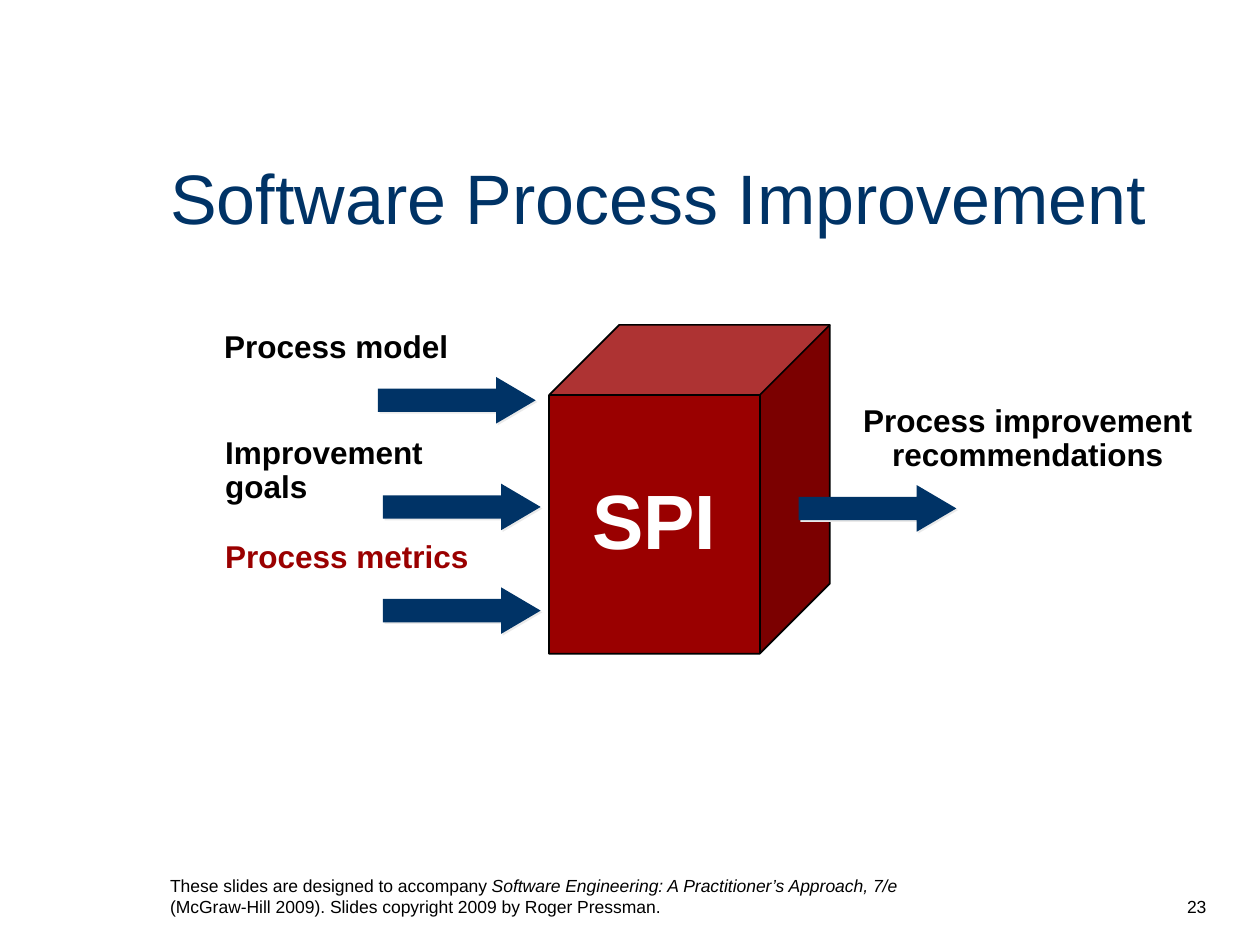
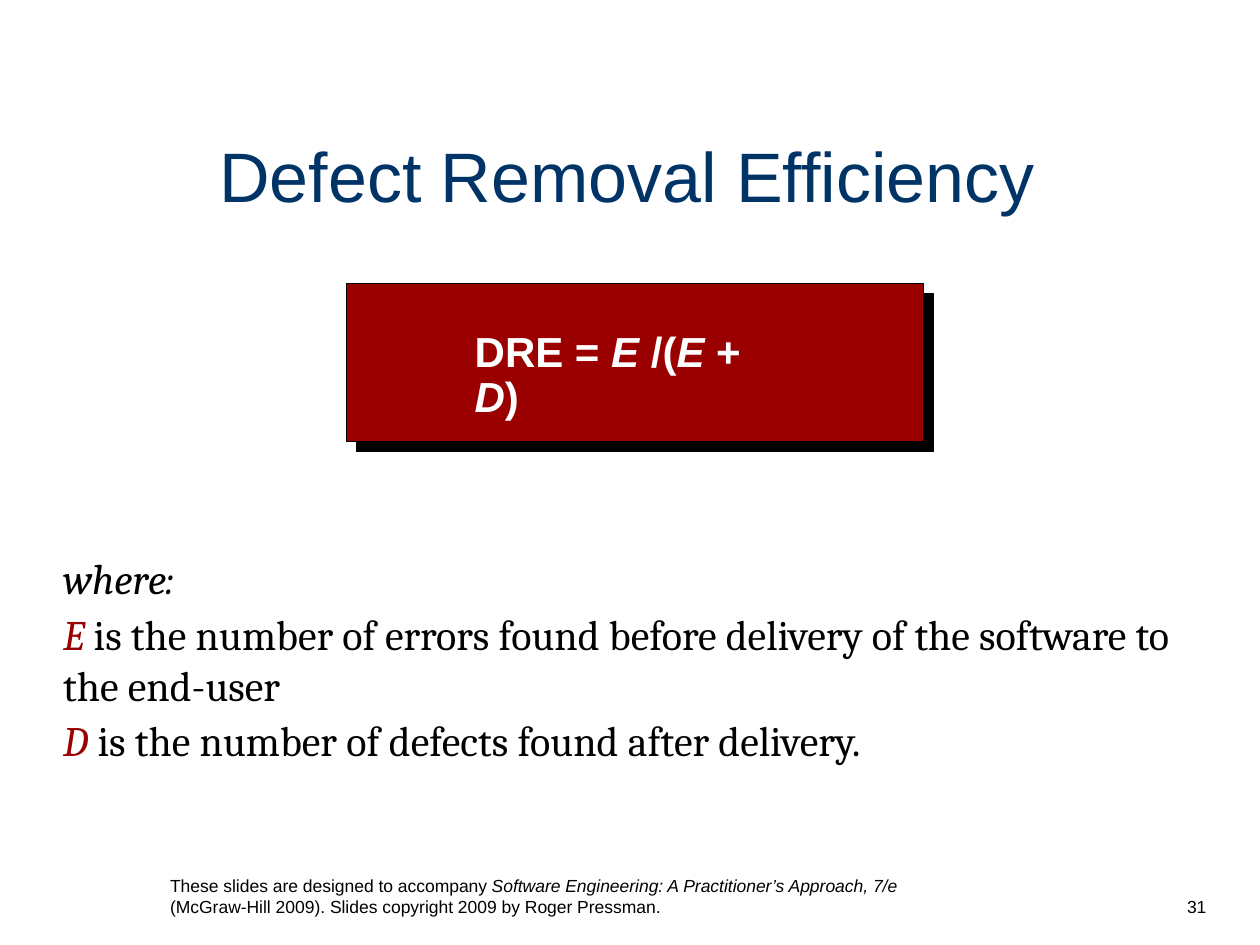
from lxml import etree
from pptx import Presentation
from pptx.dml.color import RGBColor
from pptx.enum.shapes import MSO_SHAPE
from pptx.enum.text import MSO_ANCHOR, MSO_AUTO_SIZE, PP_ALIGN
from pptx.oxml.ns import qn
from pptx.util import Cm, Pt

NAVY = RGBColor(0x00, 0x33, 0x66)
RED = RGBColor(0x9A, 0x00, 0x00)
BLACK = RGBColor(0x00, 0x00, 0x00)
WHITE = RGBColor(0xFF, 0xFF, 0xFF)
PALE_GREY = RGBColor(0xEA, 0xEA, 0xEA)

SANS = "Arial"
SERIF = "Cambria"

CUBE = MSO_SHAPE.CUBE
RIGHT_ARROW = MSO_SHAPE.RIGHT_ARROW
RECTANGLE = MSO_SHAPE.RECTANGLE
LEFT = PP_ALIGN.LEFT
CENTER = PP_ALIGN.CENTER
RIGHT = PP_ALIGN.RIGHT
TOP = MSO_ANCHOR.TOP
MIDDLE = MSO_ANCHOR.MIDDLE
BOTTOM = MSO_ANCHOR.BOTTOM
FIT_SHAPE = MSO_AUTO_SIZE.SHAPE_TO_FIT_TEXT
NO_FIT = MSO_AUTO_SIZE.NONE

TITLE_AND_CONTENT = 1
TITLE_ONLY = 5

FOOTER = [
    ("These slides are designed to accompany ", False),
    ("Software Engineering: A Practitioner’s Approach, 7/e ", True),
    ("(McGraw-Hill 2009). Slides copyright 2009 by Roger Pressman.", False),
]


def style_paragraph(paragraph, size, color=None, font=SANS, bold=False, align=LEFT, spacing=None):
    paragraph.alignment = align
    paragraph.line_spacing = spacing
    paragraph.font.name = font
    paragraph.font.size = Pt(size)
    paragraph.font.bold = bold
    if color is not None:
        paragraph.font.color.rgb = color


def add_runs(paragraph, parts):
    for text, italic in parts:
        run = paragraph.add_run()
        run.text = text
        run.font.italic = italic


def add_title(slide, text, left, top, width):
    title = slide.shapes.title
    title.left, title.top, title.width, title.height = Cm(left), Cm(top), Cm(width), Cm(1.75)
    frame = title.text_frame
    frame.text = text
    frame.auto_size = NO_FIT
    frame.vertical_anchor = BOTTOM
    style_paragraph(frame.paragraphs[0], 40, NAVY)


def add_text_frame(slide, left, top, width, height, wrap=False):
    box = slide.shapes.add_textbox(Cm(left), Cm(top), Cm(width), Cm(height))
    box.text_frame.word_wrap = wrap
    return box.text_frame


def add_label(slide, lines, left, top, width, height=0.94, color=BLACK, align=LEFT):
    frame = add_text_frame(slide, left, top, width, height)
    frame.auto_size = FIT_SHAPE
    frame.text = "\n".join(lines)
    for paragraph in frame.paragraphs:
        style_paragraph(paragraph, 18, color, bold=True, align=align, spacing=0.9)


def add_footer(slide, number):
    for parts, left, width, align in (
        ([(number, False)], 20.96, 3.61, RIGHT),
        (FOOTER, 3.18, 15.24, LEFT),
    ):
        frame = add_text_frame(slide, left, 17.35, width, 1.27, wrap=True)
        frame.vertical_anchor = BOTTOM
        add_runs(frame.paragraphs[0], parts)
        style_paragraph(frame.paragraphs[0], 10, BLACK, align=align)


def add_solid(slide, kind, left, top, width, height, fill, line_width=None):
    solid = slide.shapes.add_shape(kind, Cm(left), Cm(top), Cm(width), Cm(height))
    solid.shadow.inherit = False
    solid.fill.solid()
    solid.fill.fore_color.rgb = fill
    if line_width is None:
        solid.line.fill.background()
    else:
        solid.line.color.rgb = BLACK
        solid.line.width = Pt(line_width)
    return solid


def add_flow_arrow(slide, left, top):
    arrow = add_solid(slide, RIGHT_ARROW, left, top, 3.18, 0.94, NAVY)
    arrow.adjustments[0] = 0.5
    arrow.adjustments[1] = 0.85
    effects = arrow.element.spPr.find(qn("a:effectLst"))
    shadow = etree.SubElement(effects, qn("a:outerShdw"), blurRad="0",
                              dist=str(Pt(1.4)), dir=str(45 * 60000))
    etree.SubElement(shadow, qn("a:srgbClr"), val=str(PALE_GREY))


def add_cube(slide, text):
    cube = add_solid(slide, CUBE, 11.07, 6.55, 5.66, 6.63, RED, 1)
    cube.adjustments[0] = 0.25
    frame = cube.text_frame
    frame.word_wrap = False
    frame.vertical_anchor = MIDDLE
    frame.text = text
    style_paragraph(frame.paragraphs[0], 44, WHITE, bold=True, align=CENTER, spacing=0.9)


def add_formula(slide, parts):
    for left, top, fill in ((7.19, 5.92, BLACK), (6.99, 5.72, RED)):
        add_solid(slide, RECTANGLE, left, top, 11.63, 3.18, fill, 0.75)
    frame = add_text_frame(slide, 9.32, 6.55, 6.99, 1.17)
    frame.auto_size = FIT_SHAPE
    add_runs(frame.paragraphs[0], parts)
    style_paragraph(frame.paragraphs[0], 24, WHITE, bold=True, spacing=0.9)


def add_definitions(slide, intro, definitions):
    body = slide.placeholders[1]
    body.left, body.top, body.width, body.height = Cm(1.02), Cm(11.02), Cm(23.6), Cm(5.36)
    frame = body.text_frame
    frame.auto_size = NO_FIT
    frame.vertical_anchor = TOP
    add_runs(frame.paragraphs[0], [(intro, True)])
    for symbol, meaning in definitions:
        paragraph = frame.add_paragraph()
        add_runs(paragraph, [(symbol, True), (meaning, False)])
        paragraph.runs[0].font.color.rgb = RED
        paragraph.runs[1].font.color.rgb = BLACK
    for index, paragraph in enumerate(frame.paragraphs):
        properties = paragraph._p.get_or_add_pPr()
        properties.set("marL", "0")
        properties.set("indent", "0")
        etree.SubElement(properties, qn("a:buNone"))
        paragraph.space_before = Pt(3 if index else 0)
        style_paragraph(paragraph, 24, BLACK, font=SERIF)


def build_improvement_slide(prs):
    slide = prs.slides.add_slide(prs.slide_layouts[TITLE_ONLY])
    add_footer(slide, "23")
    add_title(slide, "Software Process Improvement", 3.18, 3.18, 21.16)
    add_cube(slide, "SPI")
    for text, left, top, width, color, arrow_left in (
        ("Process model", 4.27, 6.55, 5.03, BLACK, 7.62),
        ("Improvement goals", 4.29, 8.7, 6.32, BLACK, 7.72),
        ("Process metrics", 4.29, 10.79, 5.41, RED, 7.72),
    ):
        add_flow_arrow(slide, arrow_left, top + 1.05)
        add_label(slide, [text], left, top, width, color=color)
    add_flow_arrow(slide, 16.1, 9.78)
    add_label(slide, ["Process improvement", "recommendations"],
              17.15, 8.05, 7.14, 1.63, align=CENTER)


def build_efficiency_slide(prs):
    slide = prs.slides.add_slide(prs.slide_layouts[TITLE_AND_CONTENT])
    add_footer(slide, "31")
    add_title(slide, "Defect Removal Efficiency", 4.17, 2.74, 17.09)
    add_definitions(slide, "where:", [
        ("E", " is the number of errors found before delivery of the software to the end-user"),
        ("D", " is the number of defects found after delivery."),
    ])
    add_formula(slide, [
        ("DRE = ", False), ("E", True), (" /(", False), ("E", True),
        (" + ", False), ("D", True), (")", False),
    ])


def main():
    prs = Presentation()
    prs.slide_width = Cm(25.4)
    prs.slide_height = Cm(19.05)
    build_improvement_slide(prs)
    build_efficiency_slide(prs)
    prs.save("out.pptx")


if __name__ == "__main__":
    main()
